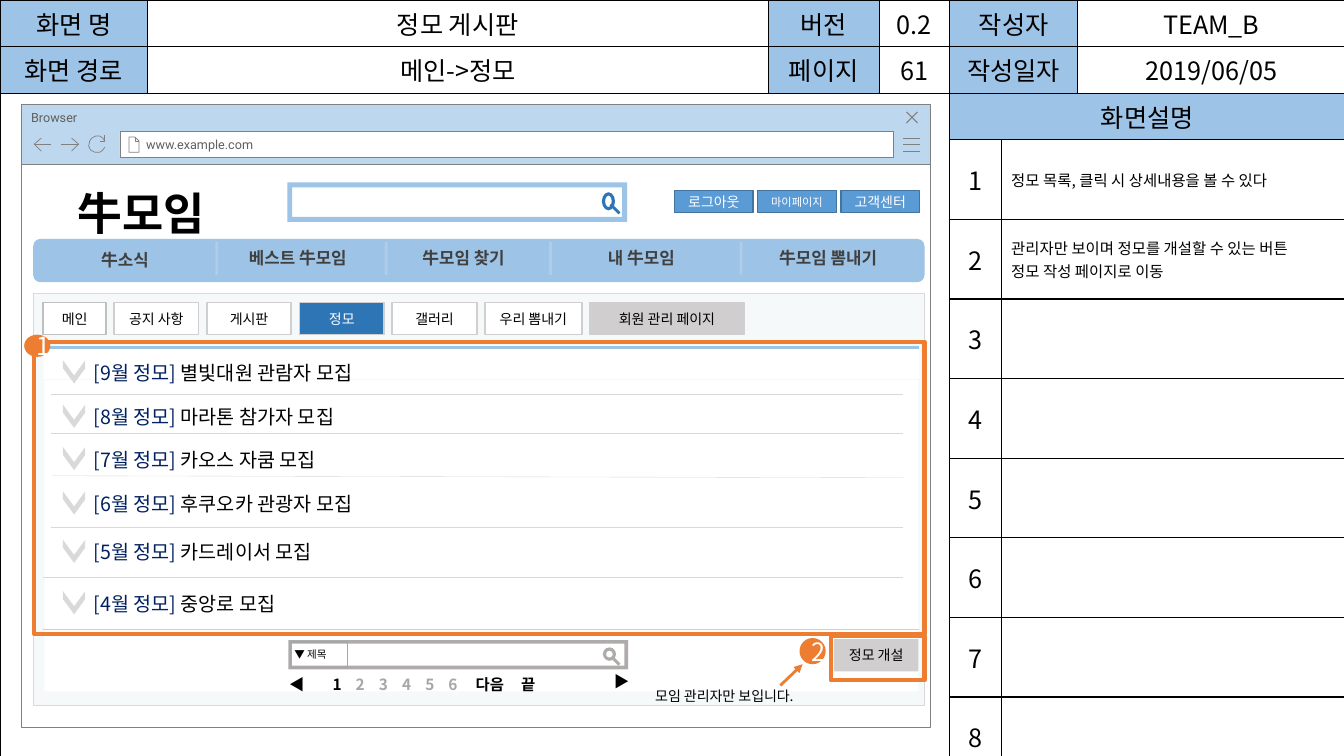
import pptx
import pptx.util
import pptx.dml.color
import pptx.enum.shapes
import pptx.enum.text
import pptx.oxml.ns
import lxml.etree

Inches, Pt = pptx.util.Inches, pptx.util.Pt
SHAPE = pptx.enum.shapes.MSO_SHAPE
ALIGN = pptx.enum.text.PP_ALIGN
ANCHOR = pptx.enum.text.MSO_ANCHOR
SANS = "Noto Sans CJK KR"
HUES = {"white": "FFFFFF", "black": "000000", "sky": "9DC3E6", "pale": "BDD7EE",
        "blue": "2E75B6", "button": "5B9BD5", "edge": "43739E", "navy": "002060",
        "orange": "ED7D31", "gray": "808080", "ink": "5F5F5F", "dark": "404040",
        "mid": "A6A6A6", "tool": "AFABAB", "silver": "D0CECE", "light": "D9D9D9",
        "rim": "BFBFBF", "mist": "F5F9F9", "fog": "F2F2F2"}


def hue(name):
    return pptx.dml.color.RGBColor.from_string(HUES[name])


def node(parent, tag, **attrs):
    return lxml.etree.SubElement(parent, pptx.oxml.ns.qn(tag), attrs)


def paint(item, fill, line=None, width=1):
    if fill:
        item.fill.solid()
        item.fill.fore_color.rgb = hue(fill)
    else:
        item.fill.background()
    if line:
        item.line.color.rgb = hue(line)
        item.line.width = Pt(width)
    else:
        item.line.fill.background()
    item.shadow.inherit = False


def write(para, text, size, color="black", bold=False, face=SANS):
    run = para.add_run()
    run.text = text
    form = {"name": face, "size": Pt(size), "bold": bold}
    for key, value in form.items():
        setattr(run.font, key, value)
    run.font.color.rgb = hue(color)
    node(run.font._element, "a:ea", typeface=face)


def shape(sl, x, y, w, h, fill=None, line=None, width=1, kind=SHAPE.RECTANGLE,
          adj=None, turn=0):
    item = sl.shapes.add_shape(kind, Inches(x), Inches(y), Inches(w), Inches(h))
    paint(item, fill, line, width)
    item.rotation = turn
    if adj:
        item.adjustments[0] = adj
    return item


def label(item, text, size, color="black", align=ALIGN.CENTER, anchor=ANCHOR.MIDDLE,
          face=SANS, left=0.1):
    frame = item.text_frame
    form = {"word_wrap": True, "vertical_anchor": anchor, "margin_left": Inches(left)}
    for key, value in form.items():
        setattr(frame, key, value)
    frame.paragraphs[0].alignment = align
    write(frame.paragraphs[0], text, size, color, face=face)


def note(sl, x, y, w, h, parts, size, bold=False, align=ALIGN.LEFT, stops=()):
    frame = sl.shapes.add_textbox(Inches(x), Inches(y), Inches(w), Inches(h)).text_frame
    frame.word_wrap = True
    para = frame.paragraphs[0]
    para.alignment = align
    if stops:
        tabs = node(para._p.get_or_add_pPr(), "a:tabLst")
        for stop in stops:
            node(tabs, "a:tab", pos=str(Inches(stop)), algn="l")
    for text, color in parts:
        write(para, text, size, color, bold)


def rule(sl, x1, y1, x2, y2, color, width):
    item = sl.shapes.add_connector(pptx.enum.shapes.MSO_CONNECTOR.STRAIGHT,
                                   Inches(x1), Inches(y1), Inches(x2), Inches(y2))
    item.line.color.rgb = hue(color)
    item.line.width = Pt(width)
    node(item._element.spPr, "a:effectLst")
    return item


def icon(sl, x, y, strokes, width=0.5):
    pen = None
    for stroke in strokes:
        dots = [(Inches(x + a), Inches(y + b)) for a, b in stroke]
        if pen is None:
            pen = sl.shapes.build_freeform(*dots[0])
        else:
            pen.move_to(*dots[0])
        pen.add_line_segments(dots[1:], close=False)
    paint(pen.convert_to_shape(), None, "gray", width)


def browser(sl, x, y, w, h):
    shape(sl, x, y + 0.58, w, h - 0.58, "white", "gray", 0.5)
    bar = shape(sl, x, y, w, 0.59, "pale", "gray", 0.5)
    label(bar, "Browser", 9, "ink", ALIGN.LEFT, ANCHOR.TOP, "Roboto")
    icon(sl, x + 8.75, y + 0.33, [[(0, b), (0.17, b)] for b in (0.13, 0.06, 0)])
    icon(sl, x + 8.78, y + 0.07, [[(0.11, 0), (0, 0.11)], [(0, 0), (0.11, 0.11)]], 0.75)
    field = shape(sl, x + 0.98, y + 0.26, 7.67, 0.26, "white", "gray", 0.5)
    label(field, "www.example.com", 9, "ink", ALIGN.LEFT, face="Roboto", left=0.26)
    icon(sl, x + 1.07, y + 0.32, [
        [(0.06, 0), (0.06, 0.04), (0.1, 0.04)],
        [(0, 0), (0, 0.15), (0.1, 0.15), (0.1, 0.04), (0.06, 0), (0, 0)]])
    icon(sl, x + 0.13, y + 0.33, [
        [(0.07, 0.13), (0, 0.06), (0.07, 0)], [(0, 0.06), (0.17, 0.06)]])
    icon(sl, x + 0.4, y + 0.33, [
        [(0.1, 0), (0.17, 0.06), (0.1, 0.13)], [(0.17, 0.06), (0, 0.06)]])
    icon(sl, x + 0.66, y + 0.3, [
        [(0.17, 0), (0.17, 0.06), (0.12, 0.06)],
        [(0.17, 0.12), (0.15, 0.15), (0.12, 0.17), (0.07, 0.17), (0.03, 0.15), (0.01, 0.11),
         (0.02, 0.06), (0.04, 0.03), (0.08, 0.01), (0.12, 0.01), (0.15, 0.03), (0.17, 0.06)]])


def trim(cell):
    props = cell._tc.get_or_add_tcPr()
    for spot, side in enumerate(("a:lnL", "a:lnR", "a:lnT", "a:lnB")):
        edge = lxml.etree.Element(pptx.oxml.ns.qn(side), {"w": str(Pt(1))})
        node(node(edge, "a:solidFill"), "a:srgbClr", val=HUES["black"])
        props.insert(spot, edge)


def sheet(sl, x, y, w, h):
    cols = [1.46, 6.16, 1.1, 0.7, 0.51, 0.76, 2.65]
    rows = [0.41] * 3 + [0.79] * 8
    grid = sl.shapes.add_table(len(rows), len(cols), Inches(x), Inches(y),
                               Inches(w), Inches(h)).table
    grid.first_row = grid.horz_banding = False
    for col, size in zip(grid.columns, cols):
        col.width = Inches(size)
    for row, size in zip(grid.rows, rows):
        row.height = Inches(size)
    heads = [["화면 명", "정모 게시판", "버전", "0.2", "작성자", None, "TEAM_B"],
             ["화면 경로", "메인->정모", "페이지", "61", "작성일자", None, "2019/06/05"]]
    words = {(r, c): [text] for r, row in enumerate(heads)
             for c, text in enumerate(row) if text}
    words[2, 4] = ["화면설명"]
    words.update({(r, 4): [str(r - 2)] for r in range(3, 11)})
    words[3, 5] = ["정모 목록, 클릭 시 상세내용을 볼 수 있다"]
    words[4, 5] = ["관리자만 보이며 정모를 개설할 수 있는 버튼", "정모 작성 페이지로 이동"]
    tinted = {(r, c) for r in (0, 1) for c in (0, 2, 4)} | {(2, 4)}
    for r in range(len(rows)):
        for c in range(len(cols)):
            cell = grid.cell(r, c)
            cell.vertical_anchor = ANCHOR.MIDDLE
            if (r, c) in tinted:
                cell.fill.solid()
                cell.fill.fore_color.rgb = hue("sky")
            else:
                cell.fill.background()
            trim(cell)
            prose = r > 2 and c == 5
            for i, text in enumerate(words.get((r, c), [])):
                frame = cell.text_frame
                para = frame.add_paragraph() if i else frame.paragraphs[0]
                para.alignment = ALIGN.LEFT if prose else ALIGN.CENTER
                write(para, text, 11 if prose else 18)
    spans = [(0, 4, 0, 5), (1, 4, 1, 5), (2, 0, 10, 3), (2, 4, 2, 6)]
    spans += [(r, 5, r, 6) for r in range(3, 11)]
    for top, left, end, right in spans:
        grid.cell(top, left).merge(grid.cell(end, right))


def search(sl, x, y, w, h, frame, lens):
    shape(sl, x, y, w, h, frame, kind=SHAPE.FRAME, adj=0.125)
    shape(sl, x + w - 0.12 - 0.22 * h, y + 0.52 * h, 0.44 * h, 0.12, lens,
          kind=SHAPE.MATH_MINUS, adj=0.235, turn=45)
    shape(sl, x + w - 0.25, y + 0.25 * h, 0.13, 0.46 * h, lens, kind=SHAPE.DONUT, adj=0.25)


def header(sl, x, y, w, h):
    search(sl, x + 2.52, y + 0.02, 3.37, 0.39, "sky", "blue")
    note(sl, x + 0.34, y, 1.56, 0.64, [("牛모임", "black")], 32, True)
    for i, (text, size) in enumerate([("로그아웃", 10), ("마이페이지", 8), ("고객센터", 10)]):
        item = shape(sl, x + 6.36 + 0.825 * i, y + 0.1, 0.78, 0.22, "button", "edge")
        label(item, text, size, "white")
    shape(sl, x, y + h - 0.43, w, 0.43, "sky", kind=SHAPE.ROUNDED_RECTANGLE)
    note(sl, x, y + 0.64, 1.82, 0.3, [("牛소식", "dark")], 12, True, ALIGN.CENTER)
    menu = [(2.04, "베스트 牛모임"), (3.76, "牛모임 찾기"), (5.6, "내 牛모임"), (7.3, "牛모임 뽐내기")]
    for left, text in menu:
        note(sl, x + left, y + 0.62, 1.28, 0.3, [(text, "dark")], 12, True)
    for left in (1.82, 3.5, 5.13, 7.02):
        item = rule(sl, x + left, y + 0.61, x + left, y + 0.94, "fog", 2)
        tint = item._element.find(".//" + pptx.oxml.ns.qn("a:srgbClr"))
        node(tint, "a:alpha", val="22000")


def board(sl, x, y, w, h):
    shape(sl, x, y, w, h, "mist", "light", 0.5)
    shape(sl, x + 0.11, y + 0.86, w - 0.17, 3.09, "white")
    shape(sl, x + 0.1, y + 0.54, w - 0.15, 0.31, "white")
    rule(sl, x + 0.1, y + 0.54, x + w - 0.05, y + 0.54, "sky", 2)
    rule(sl, x + 0.1, y + 3.33, x + w - 0.06, y + 3.33, "silver", 0.5)
    tabs = [("메인", 0.62), ("공지 사항", 0.84), ("게시판", 0.84), ("정모", 0.84),
            ("갤러리", 0.84), ("우리 뽐내기", 0.96), ("회원 관리 페이지", 1.53)]
    left = x + 0.1
    for text, wide in tabs:
        fill = {"정모": "blue", "회원 관리 페이지": "silver"}.get(text, "white")
        item = shape(sl, left, y + 0.09, wide, 0.32, fill,
                     "rim" if text == "메인" else "silver", 1.25)
        label(item, text, 10, "white" if fill == "blue" else "black")
        left += wide + 0.08
    posts = [(9, 0.62, "별빛대원 관람자 모집"), (8, 1.06, "마라톤 참가자 모집"),
             (7, 1.48, "카오스 자쿰 모집"), (6, 1.92, "후쿠오카 관광자 모집"),
             (5, 2.4, "카드레이서 모집"), (4, 2.91, "중앙로 모집")]
    for month, top, text in posts:
        shape(sl, x + 0.29, y + top + 0.05, 0.23, 0.22, "light",
              kind=SHAPE.CHEVRON, adj=0.686, turn=90)
        note(sl, x + 0.5, y + top, 3.27, 0.34,
             [(f"[{month}월 정모] ", "navy"), (text, "black")], 14)
    for left, top, end in [(0.18, 1, 1), (0.18, 1.39, 1.39), (0.18, 1.81, 1.83),
                           (0.18, 2.32, 2.32), (0.1, 2.82, 2.82)]:
        rule(sl, x + left, y + top, x + 8.63, y + end, "light", 0.25)


def footer(sl, x, y, w, h):
    search(sl, x, y, w, 0.29, "tool", "tool")
    note(sl, x - 0.09, y + 0.3, 0.28, 0.28, [("◀", "black")], 11)
    stops = [0.23 * i for i in range(1, 6)] + [1.42, 1.87]
    note(sl, x + 0.34, y + 0.3, 2.76, 0.29,
         [("1\t", "black"), ("2\t3\t4\t5\t6\t", "mid"), ("다음\t끝", "black")],
         11, True, stops=stops)
    note(sl, x + 3.13, y + 0.27, 0.28, 0.28, [("▶", "black")], 11)
    note(sl, x - 0.04, y + 0.03, 0.58, 0.24, [("▼ 제목", "black")], 7.5)
    shape(sl, x + 0.02, y + 0.02, 0.57, 0.25, None, "mid")


def marks(sl, x, y, w, h):
    note(sl, x + 6.06, y + 3.38, 1.84, 0.27, [("모임 관리자만 보입니다.", "black")], 10)
    arrow = rule(sl, x + 7.4, y + 3.41, x + 7.62, y + 3.2, "orange", 2)
    node(arrow.line._get_or_add_ln(), "a:tailEnd", type="triangle")
    shape(sl, x, y, w, 2.9, None, "orange", 3)
    shape(sl, x + w - 0.93, y + 2.92, 0.93, 0.44, None, "orange", 3)
    for text, left, top, high in [("1", -0.1, -0.07, 0.22), ("2", 7.59, 2.94, 0.26)]:
        item = shape(sl, x + left, y + top, 0.26, high, "orange", kind=SHAPE.OVAL)
        label(item, text, 18, "white")
    label(shape(sl, x + 7.93, y + 2.95, 0.84, 0.32, "silver"), "정모 개설", 10)


def main():
    deck = pptx.Presentation()
    deck.slide_width, deck.slide_height = Inches(13.33), Inches(7.5)
    sl = deck.slides.add_slide(deck.slide_layouts[6])
    browser(sl, 0.21, 1.04, 9.02, 6.18)
    sheet(sl, 0, 0, 13.33, 7.52)
    header(sl, 0.33, 1.79, 8.84, 1.01)
    board(sl, 0.33, 2.91, 8.84, 4.09)
    footer(sl, 2.86, 6.35, 3.37, 0.59)
    marks(sl, 0.34, 3.39, 8.83, 3.65)
    deck.save("out.pptx")


if __name__ == "__main__":
    main()
